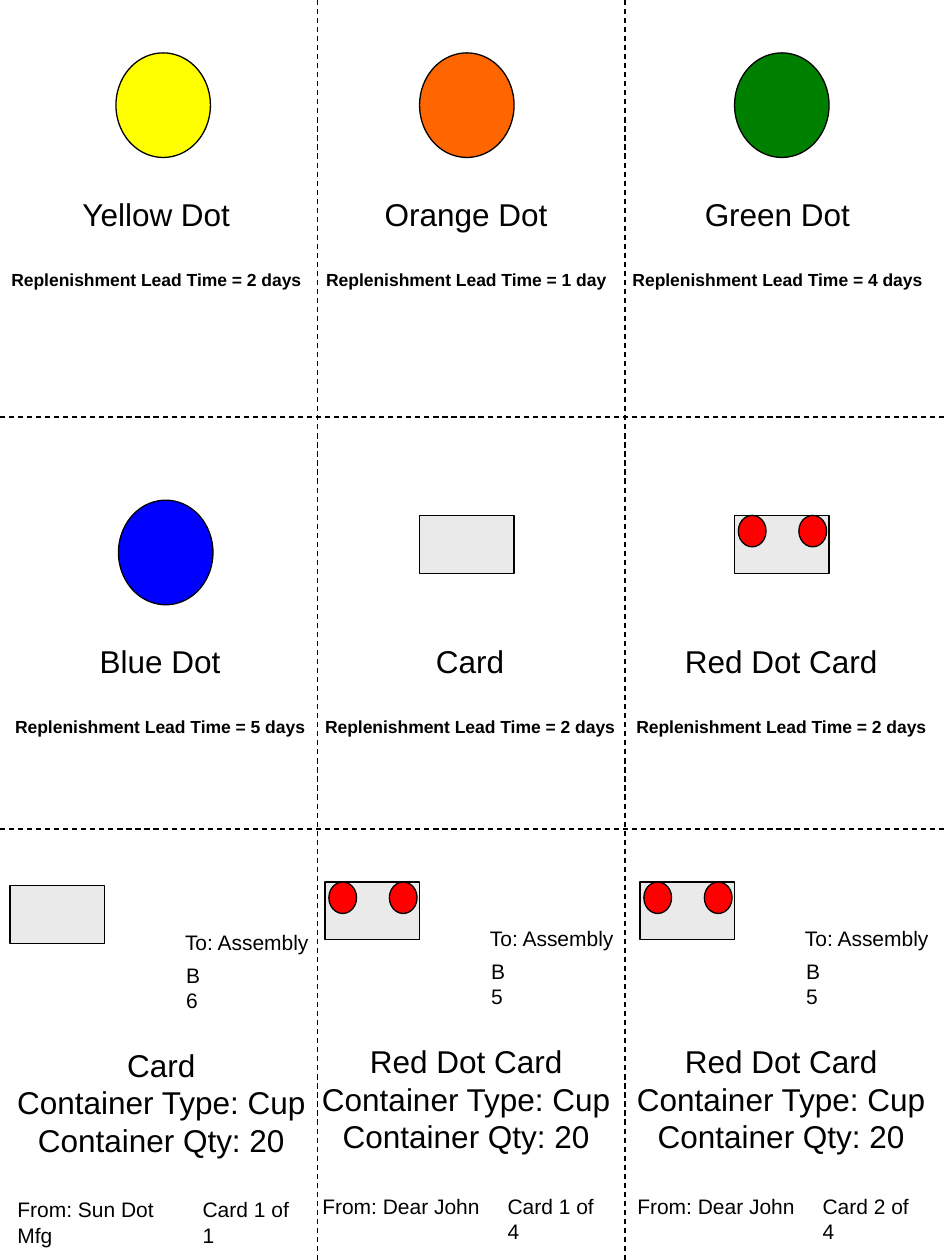
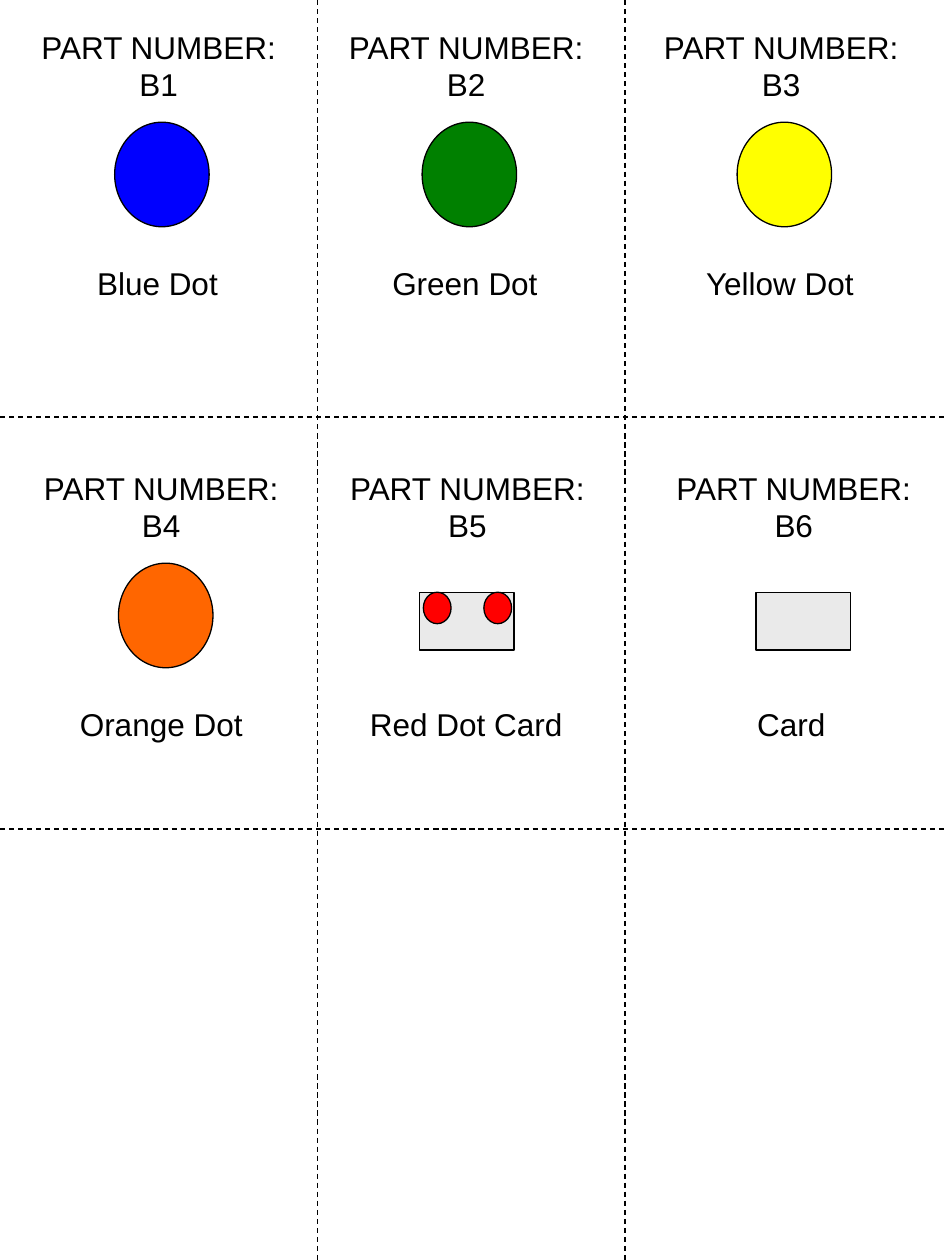
from lxml import etree
from pptx import Presentation
from pptx import util as u
from pptx.dml.color import RGBColor
from pptx.enum import dml, shapes, text
from pptx.oxml.ns import qn

# Content: name, lead time, art left, text centre
LEAD_TIME_ROWS = [
    (0.42, [("Yellow Dot", "2 days", 0.92, 1.24),
            ("Orange Dot", "1 day", 3.33, 3.7),
            ("Green Dot", "4 days", 5.83, 6.17)]),
    (3.97, [("Blue Dot", "5 days", 0.94, 1.27),
            ("Card", "2 days", 3.33, 3.73),
            ("Red Dot Card", "2 days", 5.83, 6.2)]),
]
# Name, part number, destination, supplier, count, text left, art left, text top
KANBAN_CARDS = [
    ("Card", "B6", "Sun Dot Mfg", "1 of 1", 0.03, 0.08, 8.25),
    ("Red Dot Card", "B5", "Dear John", "1 of 4", 2.45, 2.58, 8.22),
    ("Red Dot Card", "B5", "Dear John", "2 of 4", 4.95, 5.08, 8.22),
]
# Name, part number, art left, name centre, heading centre
PART_ROWS = [
    (0.97, [("Blue Dot", "B1", 0.91, 1.25, 1.26),
            ("Green Dot", "B2", 3.35, 3.69, 3.7),
            ("Yellow Dot", "B3", 5.85, 6.19, 6.2)]),
    (4.47, [("Orange Dot", "B4", 0.94, 1.28, 1.28),
            ("Red Dot Card", "B5", 3.33, 3.7, 3.71),
            ("Card", "B6", 6.0, 6.28, 6.3)]),
]

# Shared style
WIDTH, HEIGHT = 7.5, 10
COLUMN_CUTS, ROW_CUTS = (2.52, 4.96), (3.31, 6.58)
COLORS = {
    "Yellow Dot": "FFFF00", "Orange Dot": "FF6600", "Green Dot": "008000",
    "Blue Dot": "0000FF", "card": "EAEAEA", "red": "FF0000",
    "ink": "000000", "paper": "FFFFFF",
}
FONT = "Arial"
DOT_SIZE, CARD_SIZE, RED_DOT_SIZE = (0.75, 0.83), (0.75, 0.46), (0.22, 0.25)
RED_DOT_OFFSETS = (0.03, 0.51)
NAME_DROP, HEADING_RISE = 1.08, 0.8


def color(name):
    return RGBColor.from_string(COLORS[name])


def add_cut_line(slide, start, end):
    line = slide.shapes.add_connector(
        shapes.MSO_CONNECTOR.STRAIGHT, *map(u.Inches, start + end))
    line.line.color.rgb = color("ink")
    line.line.width = u.Pt(0.75)
    line.line.dash_style = dml.MSO_LINE.DASH
    etree.SubElement(line._element.spPr, qn("a:effectLst"))


def add_sheet(presentation):
    slide = presentation.slides.add_slide(presentation.slide_layouts[6])
    slide.background.fill.solid()
    slide.background.fill.fore_color.rgb = color("paper")
    for x in COLUMN_CUTS:
        add_cut_line(slide, (x, 0), (x, HEIGHT))
    for y in ROW_CUTS:
        add_cut_line(slide, (0, y), (WIDTH, y))
    return slide


def add_piece(parent, kind, left, top, size, fill):
    shape = parent.shapes.add_shape(kind, *map(u.Inches, (left, top, *size)))
    shape.shadow.inherit = False
    shape.fill.solid()
    shape.fill.fore_color.rgb = color(fill)
    shape.line.color.rgb = color("ink")
    shape.line.width = u.Pt(0.75)


def add_card(slide, name, left, top):
    has_dots = name == "Red Dot Card"
    parent = slide.shapes.add_group_shape() if has_dots else slide
    add_piece(parent, shapes.MSO_SHAPE.RECTANGLE, left, top, CARD_SIZE, "card")
    if has_dots:
        for offset in RED_DOT_OFFSETS:
            add_piece(parent, shapes.MSO_SHAPE.OVAL, left + offset, top,
                      RED_DOT_SIZE, "red")


def add_art(slide, name, left, dot_top, card_drop):
    if name in COLORS:
        add_piece(slide, shapes.MSO_SHAPE.OVAL, left, dot_top, DOT_SIZE, name)
    else:
        add_card(slide, name, left, dot_top + card_drop)


def add_label(slide, lines, left, top, width, height, size=18, centered=True):
    box = slide.shapes.add_textbox(*map(u.Inches, (left, top, width, height)))
    frame = box.text_frame
    frame.word_wrap = False
    frame.text = "\n".join(lines)
    for paragraph in frame.paragraphs:
        paragraph.alignment = text.PP_ALIGN.CENTER if centered else text.PP_ALIGN.LEFT
        for run in paragraph.runs:
            run.font.name = FONT
            run.font.size = u.Pt(size)
            run.font.color.rgb = color("ink")
    return frame


def add_lead_time_cell(slide, dot_top, name, days, art_left, center):
    add_art(slide, name, art_left, dot_top, card_drop=0.12)
    frame = add_label(slide, [name, f"Replenishment Lead Time = {days}"],
                      center - 1.25, dot_top + NAME_DROP, 2.5, 0.87)
    lead_time = frame.paragraphs[1]
    lead_time.space_before = u.Pt(20.7)
    lead_time.runs[0].font.size = u.Pt(10)
    lead_time.runs[0].font.bold = True


def add_kanban_card(slide, name, part, supplier, count, left, art_left, top):
    add_card(slide, name, art_left, top - 1.22)
    add_label(slide, [name, "Container Type: Cup", "Container Qty: 20"],
              left, top, 2.5, 1)
    details = [
        ("To: Assembly", 1.34, -0.92, 1.21),
        (part, 1.35, -0.66, 0.4),
        (f"From: {supplier}", 0.01, 1.2, 1.6),
        (f"Card {count}", 1.48, 1.2, 1.02),
    ]
    for words, across, down, width in details:
        add_label(slide, [words], left + across, top + down, width, 0.3,
                  size=12, centered=False)


def add_part_cell(slide, dot_top, name, part, art_left, name_center, heading_center):
    add_art(slide, name, art_left, dot_top, card_drop=0.23)
    add_label(slide, [name], name_center - 0.9, dot_top + NAME_DROP, 1.8, 0.7)
    add_label(slide, ["PART NUMBER:", part],
              heading_center - 1.05, dot_top - HEADING_RISE, 2.1, 0.7)


def main():
    presentation = Presentation()
    presentation.slide_width = u.Inches(WIDTH)
    presentation.slide_height = u.Inches(HEIGHT)

    # Lead times and kanban cards
    slide = add_sheet(presentation)
    for dot_top, cells in LEAD_TIME_ROWS:
        for cell in cells:
            add_lead_time_cell(slide, dot_top, *cell)
    for card in KANBAN_CARDS:
        add_kanban_card(slide, *card)

    # Part numbers
    slide = add_sheet(presentation)
    for dot_top, cells in PART_ROWS:
        for cell in cells:
            add_part_cell(slide, dot_top, *cell)

    presentation.save("out.pptx")


if __name__ == "__main__":
    main()
